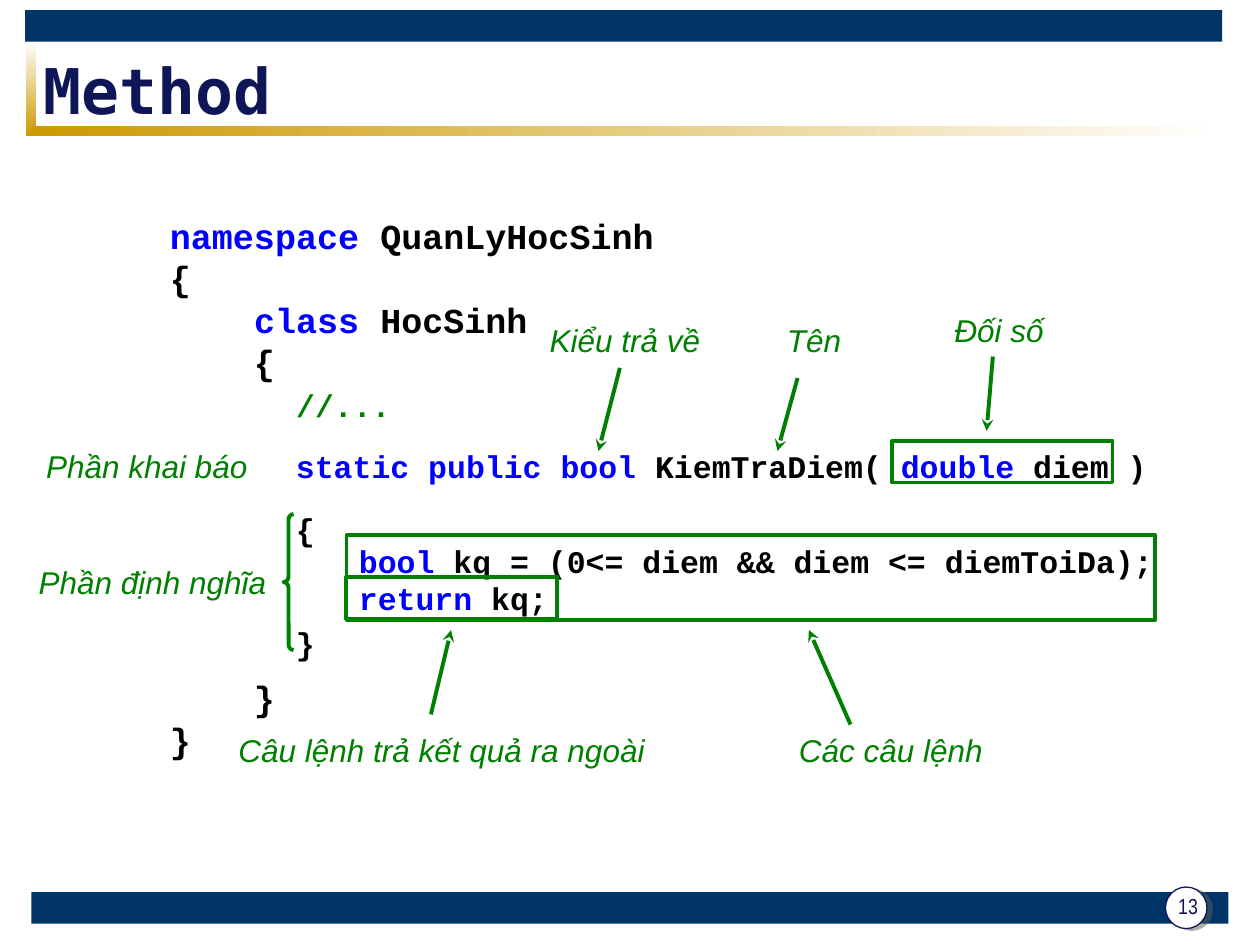
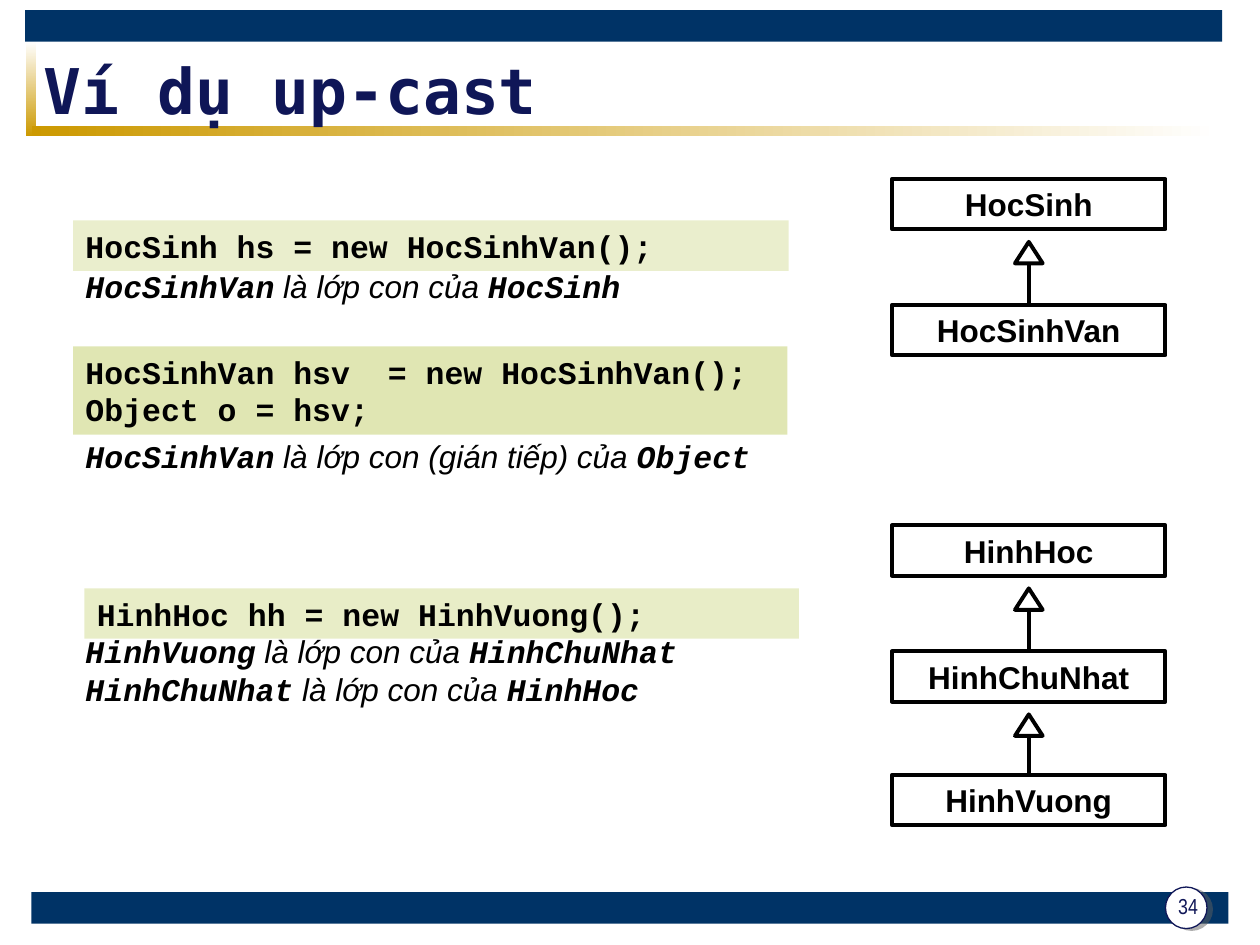
import pptx
import pptx.dml.color
import pptx.enum.dml
import pptx.enum.shapes
import pptx.enum.text
import pptx.oxml
import pptx.oxml.ns
import pptx.util

Inches = pptx.util.Inches
Pt = pptx.util.Pt
SHAPE = pptx.enum.shapes.MSO_SHAPE
LEFT = pptx.enum.text.PP_ALIGN.LEFT
CENTER = pptx.enum.text.PP_ALIGN.CENTER
TOP = pptx.enum.text.MSO_ANCHOR.TOP
MIDDLE = pptx.enum.text.MSO_ANCHOR.MIDDLE

COLORS = {
    "band": "003366", "gold": "CC9900", "white": "FFFFFF", "navy": "0F1657",
    "shadow": "5F5F5F", "keyword": "0000FF", "green": "008000",
    "black": "000000", "olive": "AFBF39",
}

# style: font, size, color, bold, italic
STYLES = {
    "title": ("DejaVu Sans Mono", 36, "navy", True, False),
    "number": ("Arial Narrow", 12.4, "navy", False, False),
    "outer": ("Courier New", 20, "black", True, False),
    "outer keyword": ("Courier New", 20, "keyword", True, False),
    "comment": ("Courier New", 18, "green", True, False),
    "code": ("Courier New", 18, "black", True, False),
    "keyword": ("Courier New", 18, "keyword", True, False),
    "label": ("Arial", 18, "green", False, True),
    "name": ("Courier New", 18, "black", True, True),
    "remark": ("Arial", 18, "black", False, True),
    "class": ("Arial", 18, "black", True, False),
}

# Method slide: (left, top, width, height), then lines of (text, style) runs
METHOD_CODE = [
    ((1.25, 1.65, 5.92, 1.77), [
        [("namespace", "outer keyword"), (" QuanLyHocSinh", "outer")],
        [("{", "outer")],
        [("    ", "outer"), ("class", "outer keyword"), (" HocSinh", "outer")],
        [("    {", "outer")],
        [("      ", "outer"), ("//...", "comment")],
    ]),
    ((1.25, 5.32, 5.92, 0.77), [[("    }", "outer")], [("}", "outer")]]),
    ((2.25, 3.5, 7.42, 0.4), [
        [("static public bool ", "keyword"), ("KiemTraDiem( ", "code"),
         ("double ", "keyword"), ("diem )", "code")],
    ]),
    ((2.25, 4, 1, 0.4), [[("{", "code")]]),
    ((2.25, 4.9, 1, 0.4), [[("}", "code")]]),
    ((2.75, 4.25, 6.67, 0.7), [
        [("bool ", "keyword"), ("kq = (0<= diem && diem <= diemToiDa);", "code")],
        [("return", "keyword"), (" kq;", "code")],
    ]),
]
METHOD_LABELS = [
    ("Phần khai báo", 0.25, 3.5, 1.83),
    ("Phần định nghĩa", 0.17, 4.42, 2.08),
    ("Các câu lệnh", 5.67, 5.75, 2.8),
    ("Kiểu trả về", 4.25, 2.5, 1.42),
    ("Tên", 5.75, 2.5, 1.42),
    ("Đối số", 7.45, 2.42, 0.96),
    ("Câu lệnh trả kết quả ra ngoài", 1.67, 5.75, 3.67),
]
METHOD_FRAMES = [
    (2.75, 4.25, 6.42, 0.67), (7.08, 3.5, 1.75, 0.33), (2.75, 4.58, 1.67, 0.33),
]
METHOD_ARROWS = [
    (6.75, 5.75, 6.42, 5), (4.92, 2.92, 4.75, 3.58), (6.33, 3, 6.17, 3.58),
    (7.88, 2.83, 7.83, 3.42), (3.42, 5.67, 3.58, 5),
]
DEFINITION_BRACE = (2.25, 4.08, 0.08, 1.08)

# Up-cast slide: place, opacity in percent, code lines
UPCAST_CODE = [
    ((0.58, 1.75, 5.68, 0.4), 25, ["HocSinh hs = new HocSinhVan();"]),
    ((0.58, 2.75, 5.67, 0.7), 38,
     ["HocSinhVan hsv  = new HocSinhVan();", "Object o = hsv;"]),
    ((0.67, 4.67, 5.67, 0.4), 28, ["HinhHoc hh = new HinhVuong();"]),
]
# top, then lines of child, relation, parent
UPCAST_REMARKS = [
    (2.07, [("HocSinhVan", " là lớp con của ", "HocSinh")]),
    (3.42, [("HocSinhVan", " là lớp con (gián tiếp) của ", "Object")]),
    (4.97, [("HinhVuong", " là lớp con của ", "HinhChuNhat"),
            ("HinhChuNhat", " là lớp con của ", "HinhHoc")]),
]
# each hierarchy runs from base class down: name, top
HIERARCHIES = [
    [("HocSinh", 1.42), ("HocSinhVan", 2.42)],
    [("HinhHoc", 4.17), ("HinhChuNhat", 5.17), ("HinhVuong", 6.15)],
]
CLASS_LEFT, CLASS_WIDTH, CLASS_HEIGHT = 7.08, 2.17, 0.4
HEAD_WIDTH, HEAD_HEIGHT, HEAD_GAP = 0.22, 0.17, 0.1


def rgb(name):
    return pptx.dml.color.RGBColor.from_string(COLORS[name])


def add_xml(parent, xml):
    namespace = pptx.oxml.ns.nsdecls("a")
    parent.append(pptx.oxml.parse_xml(xml.replace(" ", f" {namespace} ", 1)))


def write(shape, lines, align=LEFT, anchor=TOP, line_spacing=None):
    frame = shape.text_frame
    frame.word_wrap = True
    frame.vertical_anchor = anchor
    for index, runs in enumerate(lines):
        paragraph = frame.add_paragraph() if index else frame.paragraphs[0]
        paragraph.alignment = align
        if line_spacing:
            paragraph.line_spacing = line_spacing
        for text, style in runs:
            run = paragraph.add_run()
            run.text = text
            name, size, color, run.font.bold, run.font.italic = STYLES[style]
            run.font.name = name
            run.font.size = Pt(size)
            run.font.color.rgb = rgb(color)


def add_text(slide, place, lines, **layout):
    box = slide.shapes.add_textbox(*map(Inches, place))
    write(box, lines, **layout)


def add_shape(slide, kind, place, fill=None, line=None, line_width=2.25):
    shape = slide.shapes.add_shape(kind, *map(Inches, place))
    shape.shadow.inherit = False
    if fill:
        shape.fill.solid()
        shape.fill.fore_color.rgb = rgb(fill)
    else:
        shape.fill.background()
    if line:
        shape.line.color.rgb = rgb(line)
        shape.line.width = Pt(line_width)
    else:
        shape.line.fill.background()
    return shape


def add_gradient(slide, place, colors, angle):
    shape = add_shape(slide, SHAPE.RECTANGLE, place)
    shape.fill.gradient()
    shape.fill.gradient_angle = angle
    for stop, color in zip(shape.fill.gradient_stops, colors):
        stop.color.rgb = rgb(color)


def add_line(slide, ends, color, arrow=False):
    line = slide.shapes.add_connector(
        pptx.enum.shapes.MSO_CONNECTOR.STRAIGHT, *map(Inches, ends))
    line.line.color.rgb = rgb(color)
    line.line.width = Pt(2.25)
    if arrow:
        add_xml(line.line._get_or_add_ln(), '<a:tailEnd type="stealth"/>')
    add_xml(line._element.spPr, "<a:effectLst />")
    return line


def add_base_slide(presentation, title, number):
    """Add a slide with the bands, gold rules, title and number badge."""
    slide = presentation.slides.add_slide(presentation.slide_layouts[6])
    for left, top in [(0.25, 7.08), (0.2, 0.08)]:
        add_shape(slide, SHAPE.RECTANGLE, (left, top, 9.5, 0.25), "band")
    add_gradient(slide, (0.21, 0.33, 0.08, 0.75), ("white", "gold"), 270)
    add_gradient(slide, (0.25, 1, 9.42, 0.08), ("gold", "white"), 0)
    badge = add_shape(slide, SHAPE.OVAL, (9.25, 7.04, 0.33, 0.33),
                      "white", "navy", 0.75)
    effects = badge._element.spPr.find(pptx.oxml.ns.qn("a:effectLst"))
    add_xml(effects, f'<a:outerShdw dist="{Pt(3.2)}" dir="{18 * 60000}">'
            f'<a:srgbClr val="{COLORS["shadow"]}"><a:alpha val="50000"/>'
            '</a:srgbClr></a:outerShdw>')
    add_text(slide, (0.25, 0.42, 9, 0.58), [[(title, "title")]], anchor=MIDDLE)
    add_text(slide, (9.21, 7.03, 0.44, 0.36), [[(number, "number")]],
             align=CENTER, anchor=MIDDLE, line_spacing=0.8)
    return slide


def build_method(presentation):
    slide = add_base_slide(presentation, "Method", "13")
    for place, lines in METHOD_CODE:
        add_text(slide, place, lines)
    for label, left, top, width in METHOD_LABELS:
        add_text(slide, (left, top, width, 0.4), [[(label, "label")]], align=CENTER)
    brace = add_shape(slide, SHAPE.LEFT_BRACE, DEFINITION_BRACE, line="green")
    brace.adjustments[0] = 0.54
    for place in METHOD_FRAMES:
        add_shape(slide, SHAPE.RECTANGLE, place, line="green")
    for ends in METHOD_ARROWS:
        add_line(slide, ends, "green", arrow=True)


def add_hierarchy(slide, classes):
    """Stack class boxes, each child pointing up at its parent."""
    center = CLASS_LEFT + CLASS_WIDTH / 2
    parent_bottom = None
    for name, top in classes:
        box = add_shape(slide, SHAPE.RECTANGLE,
                        (CLASS_LEFT, top, CLASS_WIDTH, CLASS_HEIGHT), line="black")
        write(box, [[(name, "class")]], align=CENTER)
        if parent_bottom is not None:
            head_top = parent_bottom + HEAD_GAP
            add_shape(slide, SHAPE.ISOSCELES_TRIANGLE,
                      (center - HEAD_WIDTH / 2, head_top, HEAD_WIDTH, HEAD_HEIGHT),
                      line="black")
            stem = add_line(
                slide, (center, head_top + HEAD_HEIGHT, center, top), "black")
            stem.end_connect(box, 0)
        parent_bottom = top + CLASS_HEIGHT


def build_upcast(presentation):
    slide = add_base_slide(presentation, "Ví dụ up-cast", "34")
    for place, opacity, lines in UPCAST_CODE:
        panel = add_shape(slide, SHAPE.RECTANGLE, place, "olive")
        color = panel._element.spPr.find(".//" + pptx.oxml.ns.qn("a:srgbClr"))
        add_xml(color, f'<a:alpha val="{opacity * 1000}"/>')
        write(panel, [[(line, "code")] for line in lines])
    for top, lines in UPCAST_REMARKS:
        add_text(slide, (0.58, top, 5.75, 0.1 + 0.3 * len(lines)),
                 [list(zip(words, ("name", "remark", "name"))) for words in lines])
    for classes in HIERARCHIES:
        add_hierarchy(slide, classes)


def main():
    presentation = pptx.Presentation()
    presentation.slide_width = Inches(10)
    presentation.slide_height = Inches(7.5)
    build_method(presentation)
    build_upcast(presentation)
    presentation.save("out.pptx")


if __name__ == "__main__":
    main()
